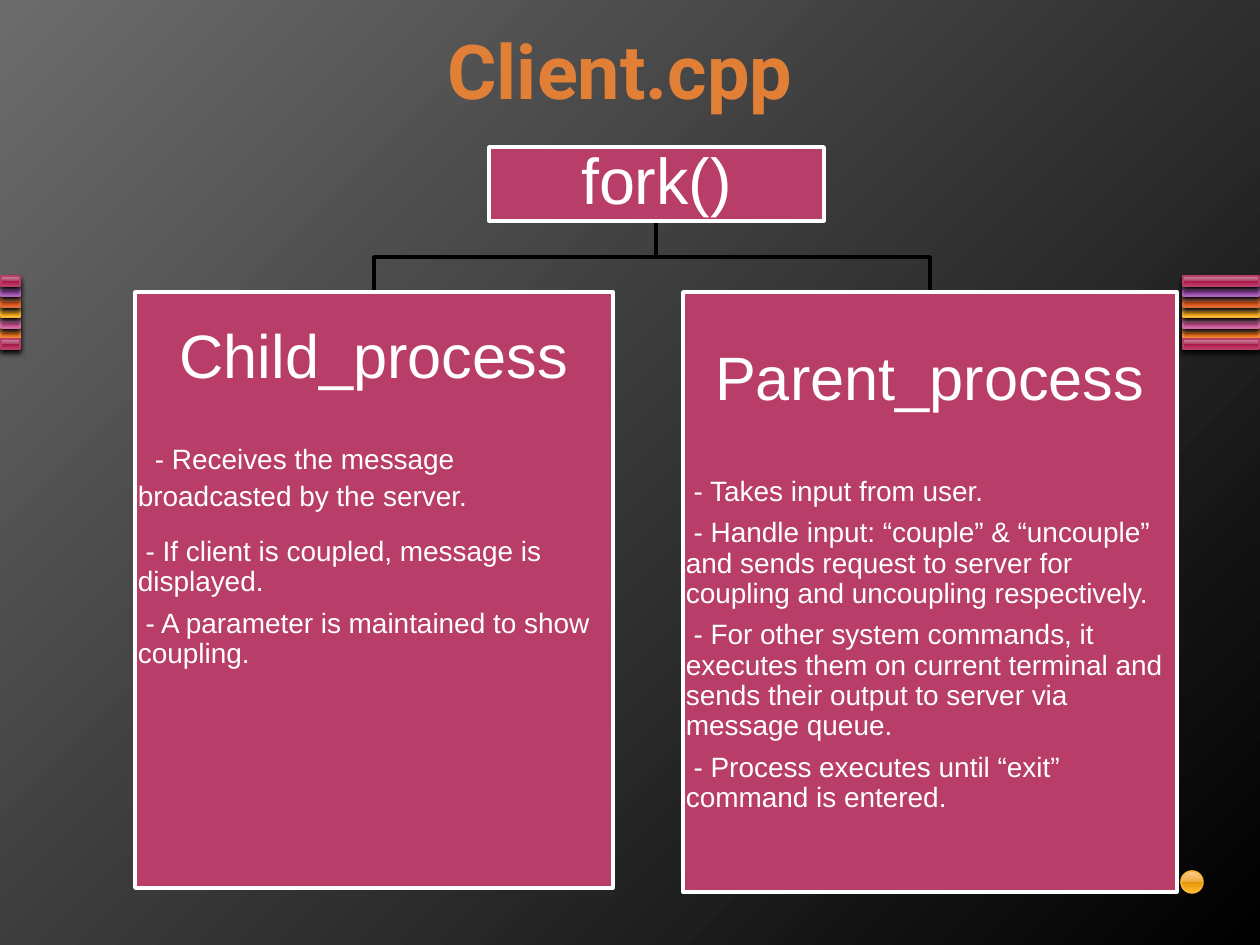
from lxml import etree
from pptx import Presentation
from pptx.dml.color import RGBColor
from pptx.enum.shapes import MSO_SHAPE as Shape
from pptx.enum.text import MSO_ANCHOR as Anchor, MSO_AUTO_SIZE as AutoSize, PP_ALIGN as Align
from pptx.oxml.ns import qn
from pptx.util import Emu, Pt

SCALE = 914400 / 126

COLORS = {
    "white": "FFFFFF",
    "black": "000000",
    "gray": "6C6C6C",
    "title": "E17F37",
    "rose": "B83D68",
    "purple": "AC66BB",
    "rust": "DE6C36",
    "gold": "F9B639",
    "pink": "CF6DA4",
    "orange": "FA8D3D",
}

GLOSS_POSITIONS = (0, 49, 49, 92, 100)
GLOSS = {
    "rose": ("CD92A1", "B04568", "A31647", "C03462", "CA5979"),
    "purple": ("C6A0CF", "A464B2", "8D3C9E", "AB5BBE", "B874C9"),
    "rust": ("E7A390", "D46A40", "C94608", "E8622A", "EF7951"),
    "gold": ("FBCC91", "EDAD40", "E19506", "FFB528", "FFC04F"),
    "pink": ("DDA3C1", "C5689C", "AF407E", "D25F9F", "DB78AD"),
    "orange": ("FBB392", "ED8642", "E26509", "FF842C", "FF9451"),
}

BAR_ROWS = (5, 4, 3, 2, 1, 0, 6)
BAR_COLORS = ("orange", "pink", "gold", "rust", "purple", "rose", "rose")

CHILD_ITEMS = [
    " - If client is coupled, message is displayed.",
    " - A parameter is maintained to show coupling.",
]
PARENT_ITEMS = [
    " - Takes input from user.",
    " - Handle input: “couple” & “uncouple” and sends request to server for coupling and uncoupling respectively.",
    " - For other system commands, it executes them on current terminal and sends their output to server via message queue.",
    " - Process executes until “exit” command is entered.",
]


def px(n):
    return Emu(round(n * SCALE))


def rgb(name):
    return RGBColor.from_string(COLORS[name])


def write(p, text, size=16, font="Arial", color="white", bold=False,
          align=Align.LEFT, spacing=0.9, after=6.5):
    p.alignment = align
    p.line_spacing = spacing
    p.space_after = Pt(after)
    r = p.add_run()
    r.text = text
    r.font.size = Pt(size)
    r.font.name = font
    r.font.bold = bold
    r.font.color.rgb = rgb(color)


class Deck:
    def __init__(self, prs):
        self.prs = prs
        self.s = prs.slides.add_slide(prs.slide_layouts[5])

    def background(self, start, end):
        fill = self.s.background.fill
        fill.gradient()
        fill.gradient_angle = 315
        for stop, color, position in zip(fill.gradient_stops, (start, end), (0, 1)):
            stop.color.rgb = rgb(color)
            stop.position = position

    def title(self, text, x, y, w, h):
        sp = self.s.shapes.title
        sp.left, sp.top, sp.width, sp.height = map(px, (x, y, w, h))
        tf = sp.text_frame
        tf.auto_size = AutoSize.NONE
        tf.vertical_anchor = Anchor.MIDDLE
        write(tf.paragraphs[0], text, size=43.2, font="Roboto", color="title",
              bold=True, align=Align.CENTER, spacing=1, after=0)

    def shape(self, kind, x, y, w, h, line, width):
        sp = self.s.shapes.add_shape(kind, px(x), px(y), px(w), px(h))
        sp.shadow.inherit = False
        sp.line.color.rgb = rgb(line)
        sp.line.width = Pt(width)
        return sp

    def glossy(self, kind, x, y, w, h, color, shadow=True):
        sp = self.shape(kind, x, y, w, h, color, 0.9)
        sp.fill.gradient()
        sp.fill.gradient_angle = 270
        stops = next(sp.element.iter(qn("a:gsLst")))
        for old in list(stops):
            stops.remove(old)
        for position, value in zip(GLOSS_POSITIONS, GLOSS[color]):
            gs = etree.SubElement(stops, qn("a:gs"), pos=str(position * 1000))
            etree.SubElement(gs, qn("a:srgbClr"), val=value)
        if shadow:
            effects = next(sp.element.iter(qn("a:effectLst")))
            outer = etree.SubElement(effects, qn("a:outerShdw"), blurRad=str(Pt(3.1)),
                                     dist=str(Pt(2)), dir="5400000", rotWithShape="0")
            etree.SubElement(outer, qn("a:srgbClr"), val=COLORS["black"])

    def bars(self, x, y, w):
        for row, color in zip(BAR_ROWS, BAR_COLORS):
            self.glossy(Shape.RECTANGLE, x, y + row * 21 // 2, w, 10, color)

    def branch(self, *points):
        builder = self.s.shapes.build_freeform(*points[0], scale=SCALE)
        builder.add_line_segments(points[1:], close=False)
        sp = builder.convert_to_shape()
        sp.shadow.inherit = False
        sp.fill.background()
        sp.line.color.rgb = rgb("black")
        sp.line.width = Pt(2)

    def box(self, x, y, w, h, heading, size, inset=3, top=3, after=0, anchor=Anchor.TOP):
        sp = self.shape(Shape.RECTANGLE, x, y, w, h, "white", 2)
        sp.fill.solid()
        sp.fill.fore_color.rgb = rgb("rose")
        tf = sp.text_frame
        tf.word_wrap = True
        tf.vertical_anchor = anchor
        tf.margin_left = tf.margin_right = tf.margin_bottom = px(inset)
        tf.margin_top = px(top)
        write(tf.paragraphs[0], heading, size=size, align=Align.CENTER, after=after)
        return tf

    def items(self, tf, texts):
        for text in texts:
            write(tf.add_paragraph(), text)


def main():
    prs = Presentation()
    prs.slide_width, prs.slide_height = px(1260), px(945)
    deck = Deck(prs)
    deck.background("gray", "black")
    deck.bars(1, 276, 19)
    deck.bars(1183, 276, 76)
    deck.glossy(Shape.OVAL, 1181, 871, 22, 22, "gold", shadow=False)
    deck.title("Client.cpp", 53, 33, 1134, 72)

    for x in (930, 374):
        deck.branch((656, 222), (656, 257), (x, 257), (x, 292))
    deck.box(489, 147, 335, 74, "fork()", 37, anchor=Anchor.MIDDLE)

    child = deck.box(135, 292, 478, 596, "Child_process", 35, top=34, after=14)
    p = child.add_paragraph()
    write(p, " ", size=35)
    write(p, "- Receives the message broadcasted by the server.", after=14)
    deck.items(child, CHILD_ITEMS)

    parent = deck.box(683, 292, 494, 600, "Parent_process", 35, top=56, after=36)
    deck.items(parent, PARENT_ITEMS)
    prs.save("out.pptx")


if __name__ == "__main__":
    main()
